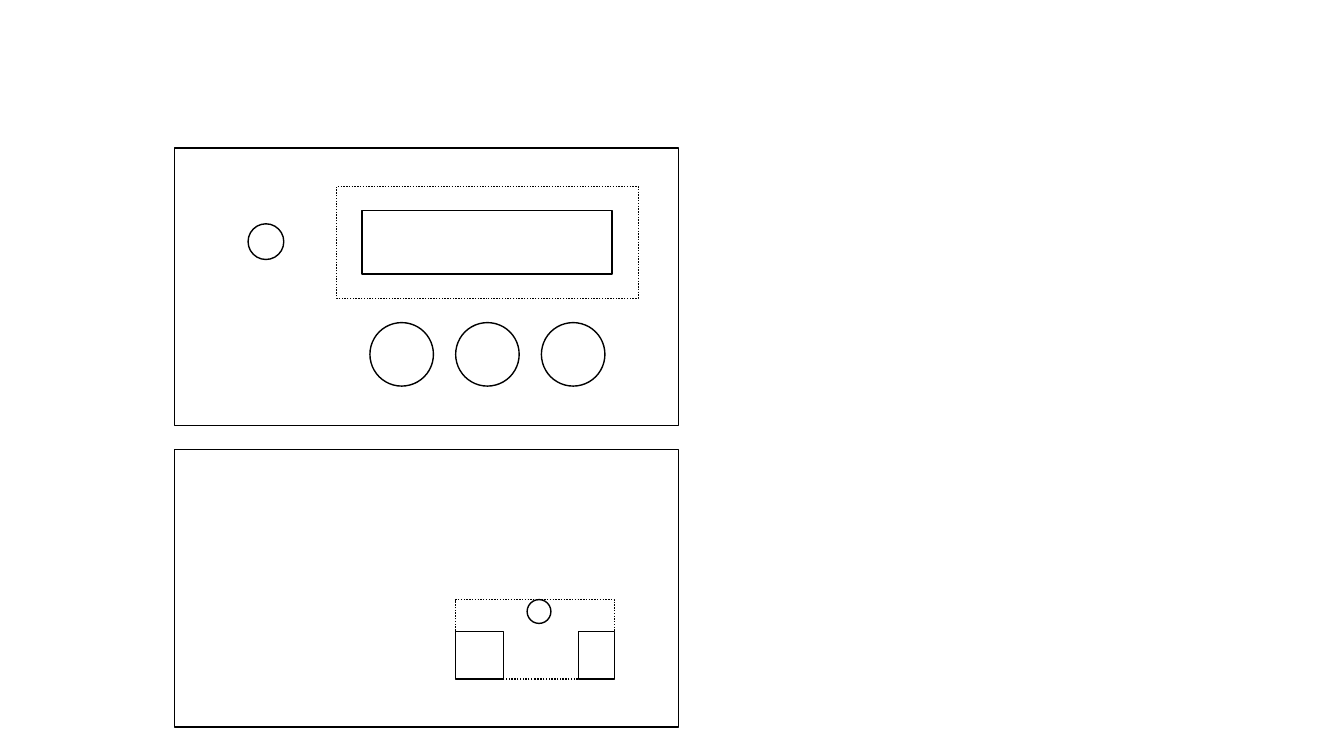
"""Draw the front and back panels of an instrument case."""
from pptx import Presentation
from pptx.dml.color import RGBColor
from pptx.enum import dml, shapes
from pptx.util import Cm, Inches, Pt

RECT = shapes.MSO_SHAPE.RECTANGLE
ROUND = shapes.MSO_SHAPE.OVAL
PANEL_LEFT, PANEL_WIDTH, PANEL_HEIGHT = 4.39, 12.7, 6.99
FRONT_TOP, BACK_TOP = 3.73, 11.33


def color(hex_code):
    """Turn a hex string into a colour."""
    return RGBColor.from_string(hex_code)


def outline(slide, kind, left, top, width, height, dotted=False):
    """Add a white shape with a thin black outline, measured in centimetres."""
    part = slide.shapes.add_shape(kind, Cm(left), Cm(top), Cm(width), Cm(height))
    part.shadow.inherit = False
    part.fill.solid()
    part.fill.fore_color.rgb = color("FFFFFF")
    part.line.color.rgb = color("000000")
    part.line.width = Pt(1)
    if dotted:
        part.line.dash_style = dml.MSO_LINE.ROUND_DOT


def rectangle(slide, left, top, width, height, dotted=False):
    """Add a rectangular part."""
    outline(slide, RECT, left, top, width, height, dotted)


def circle(slide, left, top, diameter):
    """Add a round part."""
    outline(slide, ROUND, left, top, diameter, diameter)


def front_panel(slide):
    """Draw the panel with the lamp, the display and three buttons."""
    rectangle(slide, PANEL_LEFT, FRONT_TOP, PANEL_WIDTH, PANEL_HEIGHT)
    circle(slide, 6.25, 5.64, 0.9)
    rectangle(slide, 8.48, 4.7, 7.6, 2.82, dotted=True)
    rectangle(slide, 9.12, 5.31, 6.3, 1.6)
    first_button, button_step = 9.32, 2.16
    for index in range(3):
        circle(slide, first_button + index * button_step, 8.13, 1.6)


def back_panel(slide):
    """Draw the panel with the circuit board, two sockets and a hole."""
    board_left, board_top, board_width = 11.48, 15.11, 4
    socket_top, socket_height, narrow_socket = 15.91, 1.2, 0.9
    rectangle(slide, PANEL_LEFT, BACK_TOP, PANEL_WIDTH, PANEL_HEIGHT)
    rectangle(slide, board_left, board_top, board_width, 2, dotted=True)
    rectangle(slide, board_left + board_width - narrow_socket, socket_top,
              narrow_socket, socket_height)
    rectangle(slide, board_left, socket_top, socket_height, socket_height)
    circle(slide, 13.28, board_top, 0.6)


def main():
    """Build the slide and save it."""
    deck = Presentation()
    deck.slide_width, deck.slide_height = Inches(13.33), Inches(7.5)
    slide = deck.slides.add_slide(deck.slide_layouts[6])
    front_panel(slide)
    back_panel(slide)
    deck.save("out.pptx")


main()
